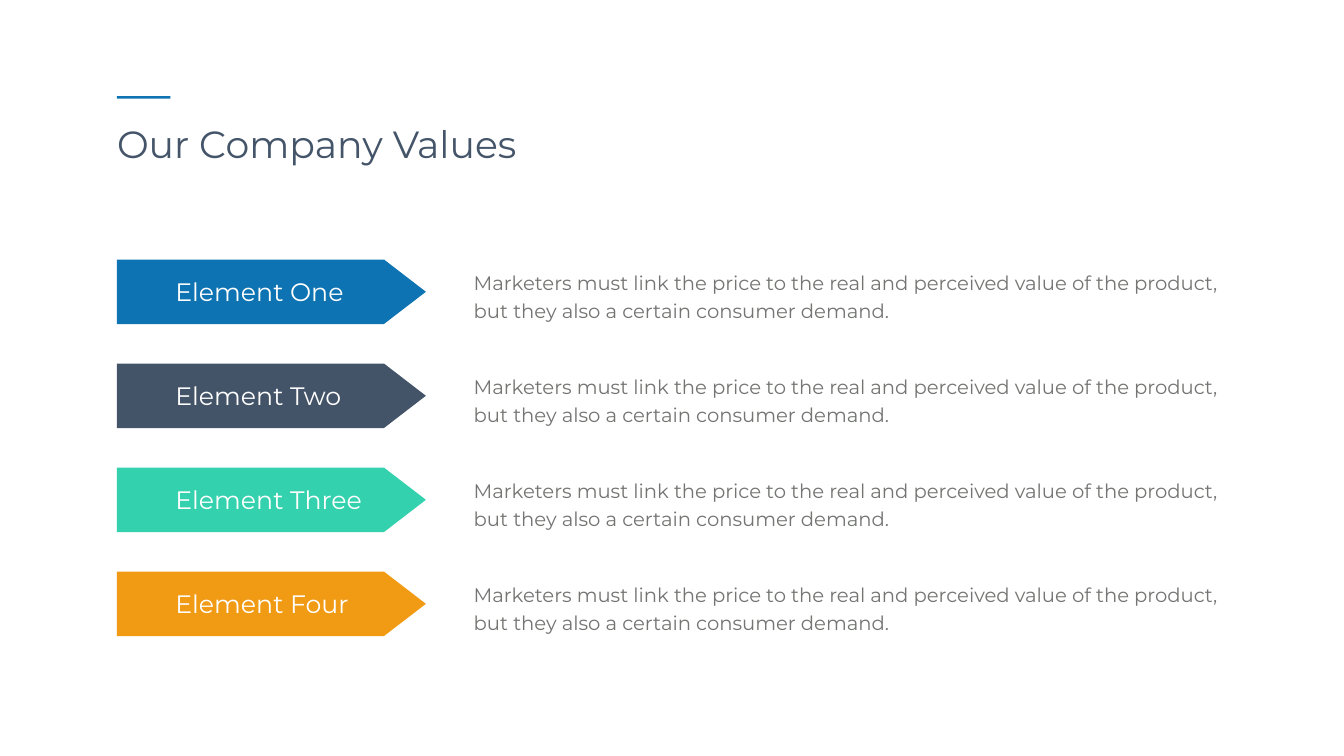
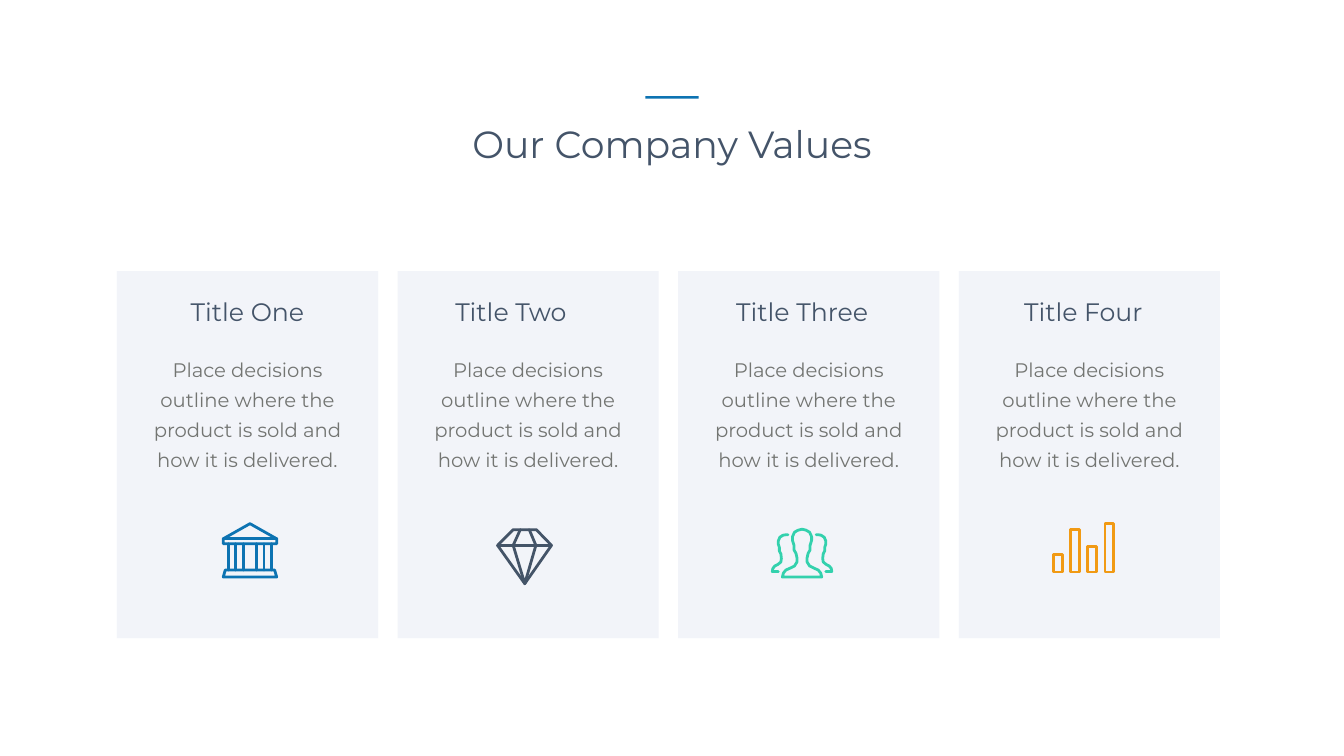
from dataclasses import dataclass
from typing import NamedTuple

from lxml.etree import SubElement as add_node
from pptx import Presentation
from pptx.dml.color import RGBColor as Rgb
from pptx.enum.shapes import MSO_SHAPE as Form
from pptx.enum.text import MSO_ANCHOR as Anchor, MSO_AUTO_SIZE as Fit, PP_ALIGN as Align
from pptx.oxml.ns import qn
from pptx.util import Inches, Pt

WIDE, HIGH = Inches(26.66), Inches(15)
COL, ROW = WIDE / 100, HIGH / 100
DOT = Inches(0.01)


@dataclass(frozen=True)
class Theme:
    font: str = "Montserrat"
    blue: str = "0D73B2"
    slate: str = "445468"
    mint: str = "33D1AD"
    gold: str = "F19A14"
    ink: str = "445469"
    gray: str = "737572"
    white: str = "FFFFFF"
    panel: str = "EFF1F8"
    panel_alpha: int = 78
    title: int = 54
    head: int = 36
    body: int = 28
    stroke: float = 4


LOOK = Theme()


class Box(NamedTuple):
    x: float
    y: float
    w: float
    h: float

    def place(self) -> list[int]:
        return [round(self.x * COL), round(self.y * ROW),
                round(self.w * COL), round(self.h * ROW)]


Path = list[tuple[float, float]]


class Value(NamedTuple):
    label: str
    color: str


class Card(NamedTuple):
    label: str
    color: str
    shift: float
    width: float
    icon_x: float
    icon_y: float
    icon: list[Path]


LEFT = 8.7
VALUES = [
    Value("Element One", LOOK.blue),
    Value("Element Two", LOOK.slate),
    Value("Element Three", LOOK.mint),
    Value("Element Four", LOOK.gold),
]
VALUE_TEXT = ("Marketers must link the price to the real and perceived value "
              "of the product, but they also a certain consumer demand.")
CARD_TEXT = "Place decisions outline where the product is sold and how it is delivered."


def ring(path: Path) -> Path:
    return path + path[:1]


def flip(path: Path, width: float) -> Path:
    return [(width - x, y) for x, y in path]


def bank() -> list[Path]:
    roof = ring([(3, 33), (56, 3), (109, 33), (109, 43), (3, 43)])
    base = ring([(7, 95), (105, 95), (109, 109), (3, 109)])
    posts = [[(x, 43), (x, 95)] for x in (13, 28, 43, 69, 84, 99)]
    return [roof, [(3, 33), (109, 33)], base, *posts]


def gem() -> list[Path]:
    edge = ring([(3, 34), (34, 3), (80, 3), (110, 34), (57, 110)])
    facets = [(48, 3), (34, 34), (57, 110), (79, 34), (66, 3)]
    return [edge, [(3, 34), (110, 34)], facets]


def people() -> list[Path]:
    half = [(62, 3), (54, 5), (47, 9), (43, 18), (43, 25), (46, 35), (46, 44),
            (50, 51), (52, 60), (52, 68), (47, 76), (39, 80), (30, 84),
            (25, 90), (23, 98)]
    side = [(34, 14), (30, 14), (24, 15), (18, 19), (15, 26), (15, 33), (17, 39),
            (17, 46), (20, 52), (21, 61), (20, 68), (14, 73), (8, 76), (4, 81),
            (3, 87), (15, 87)]
    front = ring(half + flip(half, 124)[::-1])
    return [front, side, flip(side, 124)]


def bars() -> list[Path]:
    return [ring([(x, top), (x + 17, top), (x + 17, 99), (x, 99)])
            for x, top in zip(range(3, 140, 34), (65, 14, 48, 3))]


CARDS = [
    Card("Title One", LOOK.blue, 0, 13.95, 7.8, 69.07, bank()),
    Card("Title Two", LOOK.slate, -1.28, 13.95, 7.33, 69.87, gem()),
    Card("Title Three", LOOK.mint, -0.49, 15.6, 6.89, 69.8, people()),
    Card("Title Four", LOOK.gold, -0.45, 15.3, 6.94, 69.07, bars()),
]


def write(frame, text: str, *, size: float, color: str, align=Align.LEFT,
          lead: float | None = None, wrap: bool = True) -> None:
    frame.word_wrap = wrap
    frame.auto_size = Fit.SHAPE_TO_FIT_TEXT
    frame.vertical_anchor = Anchor.TOP
    para = frame.paragraphs[0]
    para.alignment = align
    if lead:
        para.line_spacing = Pt(lead)
    run = para.add_run()
    run.text = text
    run.font.name = LOOK.font
    run.font.size = Pt(size)
    run.font.color.rgb = Rgb.from_string(color)


def add_text(slide, box: Box, text: str, **style) -> None:
    write(slide.shapes.add_textbox(*box.place()).text_frame, text, **style)


def add_form(slide, form, box: Box, color: str, alpha: int = 100):
    shape = slide.shapes.add_shape(form, *box.place())
    shape.shadow.inherit = False
    shape.fill.solid()
    shape.fill.fore_color.rgb = Rgb.from_string(color)
    shape.line.fill.background()
    if alpha < 100:
        tint = shape._element.spPr.find(qn("a:solidFill"))[0]
        add_node(tint, qn("a:alpha"), val=str(alpha * 1000))
    return shape


def add_icon(slide, x: float, y: float, paths: list[Path], color: str) -> None:
    pen = slide.shapes.build_freeform(*paths[0][0], scale=DOT)
    for i, path in enumerate(paths):
        if i:
            pen.move_to(*path[0])
        pen.add_line_segments(path[1:], close=False)
    shape = pen.convert_to_shape(round(x * COL), round(y * ROW))
    shape.shadow.inherit = False
    shape.fill.background()
    shape.line.color.rgb = Rgb.from_string(color)
    shape.line.width = Pt(LOOK.stroke)
    line = shape._element.spPr.find(qn("a:ln"))
    line.set("cap", "rnd")
    add_node(line, qn("a:round"))


def add_slide(deck, title: str, title_x: float, rule_x: float, align):
    slide = deck.slides.add_slide(deck.slide_layouts[5])
    head = slide.shapes.title
    head.left, head.top, head.width, head.height = Box(title_x, 15.6, 31.02, 6.73).place()
    write(head.text_frame, title, size=LOOK.title, color=LOOK.ink, align=align, wrap=False)
    add_form(slide, Form.RECTANGLE, Box(rule_x, 12.73, 3.98, 0.33), LOOK.blue)
    return slide


def draw_values(deck) -> None:
    slide = add_slide(deck, "Our Company Values", 8.33, LEFT, Align.LEFT)
    for i, item in enumerate(VALUES):
        y = 34.33 + i * 13.76
        arrow = add_form(slide, Form.PENTAGON, Box(LEFT, y, 22.99, 8.53), item.color)
        arrow.adjustments[0] = 0.65
        add_text(slide, Box(12.68, y + 1.87, 15.53, 4.73), item.label,
                 size=LOOK.head, color=LOOK.white)
        add_text(slide, Box(34.88, y + 0.47, 56.41, 8.33), VALUE_TEXT,
                 size=LOOK.body, color=LOOK.gray, lead=40.8)


def draw_cards(deck) -> None:
    slide = add_slide(deck, "Our Company Values", 34.49, 48.01, Align.CENTER)
    width = 19.43
    for i, card in enumerate(CARDS):
        x = LEFT + i * 20.88
        add_form(slide, Form.RECTANGLE, Box(x, 35.87, width, 48.53),
                 LOOK.panel, LOOK.panel_alpha)
        add_text(slide, Box(x + 2.06, 46.13, 15.3, 16.4), CARD_TEXT,
                 size=LOOK.body, color=LOOK.gray, align=Align.CENTER, lead=43)
        head_x = x + (width - card.width) / 2 + card.shift
        add_text(slide, Box(head_x, 38.93, card.width, 4.73), card.label,
                 size=LOOK.head, color=LOOK.ink, align=Align.CENTER)
        add_icon(slide, x + card.icon_x, card.icon_y, card.icon, card.color)


def main() -> None:
    deck = Presentation()
    deck.slide_width, deck.slide_height = WIDE, HIGH
    draw_values(deck)
    draw_cards(deck)
    deck.save("out.pptx")


if __name__ == "__main__":
    main()
